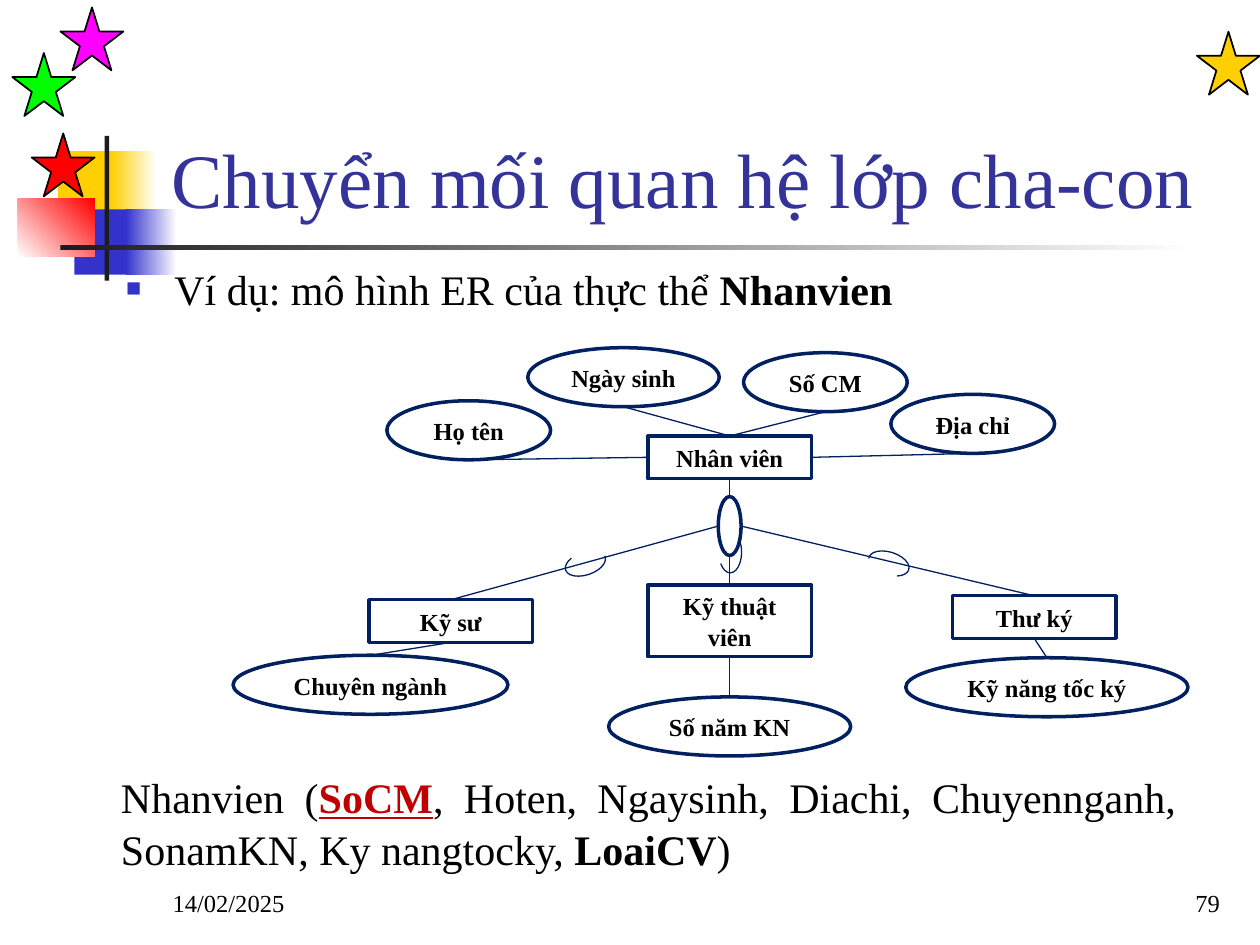
from dataclasses import dataclass

from lxml import etree
from pptx import Presentation
from pptx import util as u
from pptx.dml import color
from pptx.enum import shapes, text
from pptx.oxml import ns

SHAPE = shapes.MSO_SHAPE
TOP, LEFT, BOTTOM, RIGHT = range(4)


@dataclass(frozen=True)
class Theme:
    font: str = "Times New Roman"
    title: str = "333399"
    ink: str = "000000"
    key: str = "C00000"
    outline: str = "002060"
    paper: str = "FFFFFF"
    gold: str = "FFCF01"
    blue: str = "3333CC"
    red: str = "FF0000"
    green: str = "00FF00"
    magenta: str = "FF00FF"
    bar: str = "1C1C1C"
    title_size: int = 44
    body_size: int = 24
    small_size: int = 14
    spacing: float = 1.05


THEME = Theme()


def rgb(value):
    return color.RGBColor.from_string(value)


def cm(*lengths):
    return [u.Cm(length) for length in lengths]


def place(part, box):
    part.left, part.top, part.width, part.height = cm(*box)


def add_run(paragraph, words, size, ink=THEME.ink, bold=False, underline=False):
    run = paragraph.add_run()
    run.text = words
    run.font.name = THEME.font
    run.font.size = u.Pt(size)
    run.font.bold = bold
    run.font.underline = underline
    run.font.color.rgb = rgb(ink)


def set_indent(paragraph, margin, first):
    properties = paragraph._p.get_or_add_pPr()
    properties.set("marL", str(u.Cm(margin)))
    properties.set("indent", str(u.Cm(first)))
    return properties


def add_bullet(paragraph):
    properties = set_indent(paragraph, 0.97, -0.97)
    tint = etree.SubElement(properties, ns.qn("a:buClr"))
    etree.SubElement(tint, ns.qn("a:srgbClr"), val=THEME.blue)
    etree.SubElement(properties, ns.qn("a:buSzPct"), val="60000")
    etree.SubElement(properties, ns.qn("a:buFont"), typeface=THEME.font)
    etree.SubElement(properties, ns.qn("a:buChar"), char="■")


def add_figure(slide, kind, box, fill=None, line=None, weight=1):
    figure = slide.shapes.add_shape(kind, *cm(*box))
    figure.shadow.inherit = False
    if fill:
        figure.fill.solid()
        figure.fill.fore_color.rgb = rgb(fill)
    else:
        figure.fill.background()
    if line:
        figure.line.color.rgb = rgb(line)
        figure.line.width = u.Pt(weight)
    else:
        figure.line.fill.background()
    return figure


def add_fade(slide, box, start, end, angle=0):
    block = add_figure(slide, SHAPE.RECTANGLE, box)
    block.fill.gradient()
    block.fill.gradient_angle = angle
    for stop, tint in zip(block.fill.gradient_stops, (start, end)):
        stop.color.rgb = rgb(tint)


def add_decoration(slide):
    add_figure(slide, SHAPE.RECTANGLE, (1.17, 3.05, 1.22, 1.32), THEME.gold)
    add_fade(slide, (2.24, 3.05, 0.91, 1.32), THEME.gold, THEME.paper)
    add_figure(slide, SHAPE.RECTANGLE, (1.5, 4.22, 1.17, 1.32), THEME.blue)
    add_fade(slide, (2.54, 4.22, 1.02, 1.32), THEME.blue, THEME.paper)
    add_fade(slide, (0.36, 4.01, 1.55, 1.17), THEME.paper, THEME.red, 45)
    add_figure(slide, SHAPE.RECTANGLE, (2.11, 2.74, 0.09, 2.92), THEME.bar)
    add_fade(slide, (1.22, 4.94, 22.86, 0.1), THEME.bar, THEME.paper)
    for left, top, fill in (
        (24.13, 0.64, THEME.gold),
        (0.64, 2.69, THEME.red),
        (0.25, 1.07, THEME.green),
        (1.22, 0.15, THEME.magenta),
    ):
        add_figure(slide, SHAPE.STAR_5_POINT, (left, top, 1.27, 1.27), fill, THEME.ink)


def add_heading(slide):
    heading = slide.shapes.title
    place(heading, (3.2, 0.58, 21.64, 4.06))
    frame = heading.text_frame
    frame.auto_size = text.MSO_AUTO_SIZE.NONE
    frame.vertical_anchor = text.MSO_ANCHOR.BOTTOM
    frame.paragraphs[0].alignment = text.PP_ALIGN.LEFT
    add_run(frame.paragraphs[0], "Chuyển mối quan hệ lớp cha-con",
            THEME.title_size, THEME.title)


def add_example(slide):
    example = slide.placeholders[1]
    place(example, (2.29, 5.18, 21.59, 11.43))
    example.text_frame.auto_size = text.MSO_AUTO_SIZE.NONE
    paragraph = example.text_frame.paragraphs[0]
    paragraph.space_before = u.Pt(0)
    add_bullet(paragraph)
    add_run(paragraph, "Ví dụ: mô hình ER của thực thể ", THEME.body_size)
    add_run(paragraph, "Nhanvien", THEME.body_size, bold=True)


def add_text_box(slide, box, alignment, anchor=text.MSO_ANCHOR.TOP):
    frame = slide.shapes.add_textbox(*cm(*box)).text_frame
    frame.word_wrap = True
    frame.vertical_anchor = anchor
    frame.paragraphs[0].alignment = alignment
    return frame.paragraphs[0]


def add_node(slide, kind, label, left, top, width=3.3, height=1.19):
    node = add_figure(slide, kind, (left, top, width, height),
                      THEME.paper, THEME.outline, 2)
    if label:
        frame = node.text_frame
        frame.word_wrap = True
        frame.auto_size = text.MSO_AUTO_SIZE.SHAPE_TO_FIT_TEXT
        frame.vertical_anchor = text.MSO_ANCHOR.MIDDLE
        paragraph = frame.paragraphs[0]
        paragraph.alignment = text.PP_ALIGN.CENTER
        paragraph.line_spacing = THEME.spacing
        add_run(paragraph, label, THEME.small_size, bold=True)
    return node


def side_point(node, side):
    across, down = ((1, 0), (0, 1), (1, 2), (2, 1))[side]
    return node.left + node.width * across // 2, node.top + node.height * down // 2


def add_link(slide, start, start_side, end, end_side):
    link = slide.shapes.add_connector(
        shapes.MSO_CONNECTOR.STRAIGHT,
        *side_point(start, start_side), *side_point(end, end_side))
    if start.auto_shape_type == SHAPE.RECTANGLE:
        link.begin_connect(start, start_side)
    if end.auto_shape_type == SHAPE.RECTANGLE:
        link.end_connect(end, end_side)
    link.line.color.rgb = rgb(THEME.outline)
    link.line.width = u.Pt(0.75)
    etree.SubElement(link._element.spPr, ns.qn("a:effectLst"))


def add_subset_mark(slide, left, top, rotation):
    mark = add_figure(slide, SHAPE.ARC, (left, top, 0.84, 0.46),
                      line=THEME.outline, weight=0.75)
    mark.adjustments[0], mark.adjustments[1] = 106.01, 23.71
    mark.rotation = rotation


def add_diagram(slide):
    for mark in ((14.3, 10.9, 90), (11.38, 11.13, 161.6), (17.5, 11.13, 17.5)):
        add_subset_mark(slide, *mark)
    split = add_node(slide, SHAPE.OVAL, "", 14.48, 10.01, 0.46)
    employee = add_node(slide, SHAPE.RECTANGLE, "Nhân viên", 13.06, 8.79, height=0.86)
    add_link(slide, employee, BOTTOM, split, TOP)

    for label, left, top, width, side, end_side in (
        ("Họ tên", 7.8, 8.08, 3.3, LEFT, BOTTOM),
        ("Ngày sinh", 10.64, 7.01, 3.86, TOP, BOTTOM),
        ("Số CM", 14.99, 7.11, 3.3, TOP, BOTTOM),
        ("Địa chỉ", 17.96, 7.95, 3.3, RIGHT, BOTTOM),
    ):
        attribute = add_node(slide, SHAPE.OVAL, label, left, top, width)
        add_link(slide, employee, side, attribute, end_side)

    for label, left, top, height, side, detail in (
        ("Kỹ sư", 7.44, 12.09, 0.86, LEFT, ("Chuyên ngành", 4.7, 13.21, 5.54)),
        ("Kỹ thuật viên", 13.06, 11.79, 1.45, BOTTOM, ("Số năm KN", 12.27, 14.05, 4.88)),
        ("Thư ký", 19.2, 12.01, 0.86, RIGHT, ("Kỹ năng tốc ký", 18.26, 13.26, 5.69)),
    ):
        subclass = add_node(slide, SHAPE.RECTANGLE, label, left, top, height=height)
        attribute = add_node(slide, SHAPE.OVAL, *detail)
        add_link(slide, split, side, subclass, TOP)
        add_link(slide, subclass, BOTTOM, attribute, TOP)


def add_schema(slide):
    schema = add_text_box(slide, (1.35, 15.37, 22.61, 2.31), text.PP_ALIGN.JUSTIFY)
    set_indent(schema, 0.84, 0)
    schema.line_spacing = THEME.spacing
    size = THEME.body_size
    add_run(schema, "Nhanvien (", size)
    add_run(schema, "SoCM", size, THEME.key, bold=True, underline=True)
    add_run(schema, ", Hoten, Ngaysinh, Diachi, Chuyennganh, SonamKN, Ky nangtocky, ", size)
    add_run(schema, "LoaiCV", size, bold=True)
    add_run(schema, ")", size)


def add_footer(slide):
    for left, words, alignment in (
        (3.23, "14/02/2025", text.PP_ALIGN.LEFT),
        (19.56, "79", text.PP_ALIGN.RIGHT),
    ):
        entry = add_text_box(slide, (left, 17.35, 5.28, 1.27), alignment,
                             text.MSO_ANCHOR.BOTTOM)
        add_run(entry, words, THEME.small_size)


def main():
    deck = Presentation()
    deck.slide_width, deck.slide_height = cm(25.4, 19.05)
    slide = deck.slides.add_slide(deck.slide_layouts[1])
    add_decoration(slide)
    add_heading(slide)
    add_example(slide)
    add_diagram(slide)
    add_schema(slide)
    add_footer(slide)
    deck.save("out.pptx")


if __name__ == "__main__":
    main()
